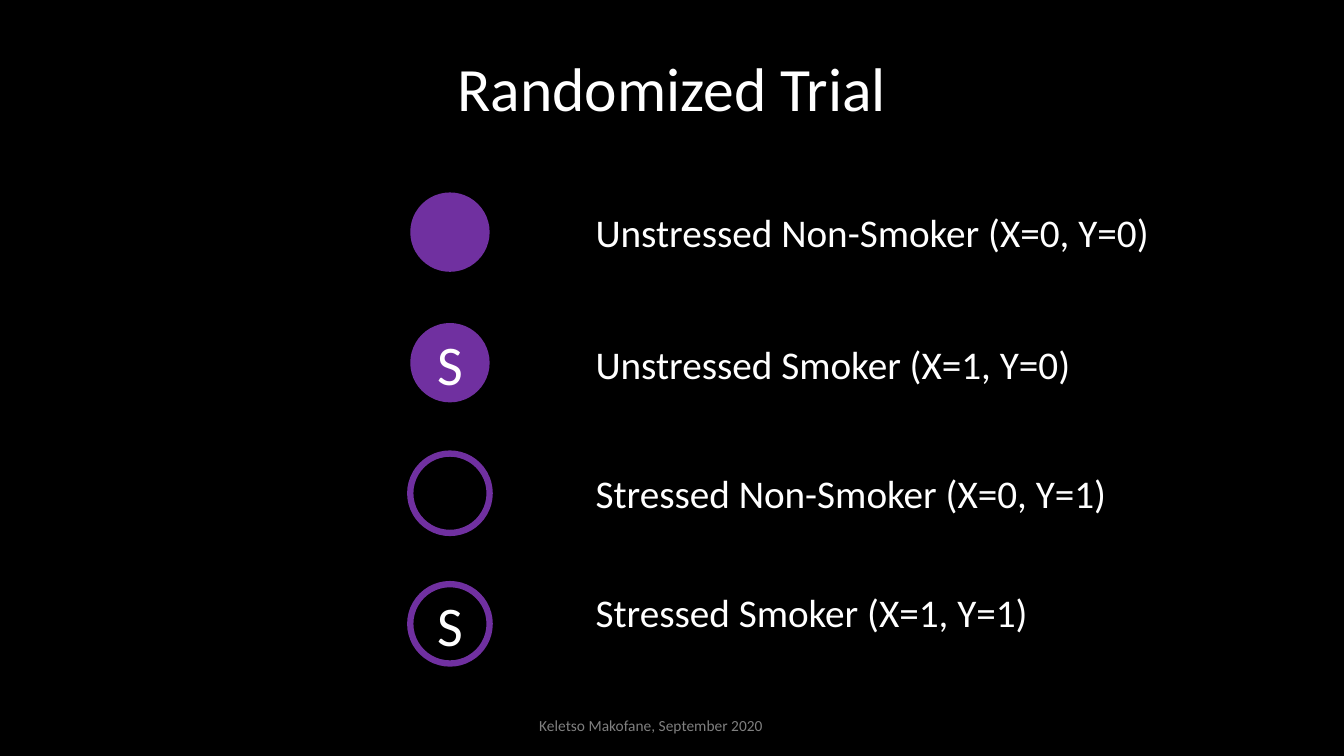
from pptx import Presentation
from pptx.dml.color import RGBColor
from pptx.enum.shapes import MSO_SHAPE
from pptx.enum.text import MSO_ANCHOR, PP_ALIGN
from pptx.util import Cm, Pt

OVAL = MSO_SHAPE.OVAL
MIDDLE, TOP = MSO_ANCHOR.MIDDLE, MSO_ANCHOR.TOP
CENTER, LEFT = PP_ALIGN.CENTER, PP_ALIGN.LEFT
BLACK, WHITE, PURPLE, GRAY = "000000", "FFFFFF", "7030A0", "808080"


def color(value):
    return RGBColor.from_string(value)


def write(shape, text, size, ink=WHITE, align=LEFT, anchor=TOP, wrap=False):
    frame = shape.text_frame
    frame.word_wrap = wrap
    frame.vertical_anchor = anchor
    para = frame.paragraphs[0]
    para.text = text
    para.alignment = align
    para.font.name = "Calibri"
    para.font.size = Pt(size)
    para.font.color.rgb = color(ink)
    return para


deck = Presentation()
deck.slide_width, deck.slide_height = Cm(33.87), Cm(19.05)
page = deck.slides.add_slide(deck.slide_layouts[6])
page.background.fill.solid()
page.background.fill.fore_color.rgb = color(BLACK)

title = page.shapes.add_textbox(Cm(2.33), Cm(0.46), Cm(29.21), Cm(3.68))
heading = write(title, "Randomized Trial", 44, align=CENTER, anchor=MIDDLE, wrap=True)
heading.line_spacing = 0.9

groups = [
    ("Unstressed Non-Smoker (X=0, Y=0)", False, False, 5.13, 14.63),
    ("Unstressed Smoker (X=1, Y=0)", False, True, 8.46, 12.62),
    ("Stressed Non-Smoker (X=0, Y=1)", True, False, 11.71, 13.54),
    ("Stressed Smoker (X=1, Y=1)", True, True, 14.71, 11.53),
]
for row, (name, stressed, smoker, label_top, label_width) in enumerate(groups):
    person = page.shapes.add_shape(OVAL, Cm(10.34), Cm(4.85 + 3.29 * row), Cm(2), Cm(2))
    person.shadow.inherit = False
    if stressed:
        person.fill.background()
        person.line.color.rgb = color(PURPLE)
        person.line.width = Pt(4.5)
    else:
        person.fill.solid()
        person.fill.fore_color.rgb = color(PURPLE)
        person.line.fill.background()
    if smoker:
        write(person, "S", 40, align=CENTER, anchor=MIDDLE, wrap=True)

    label = page.shapes.add_textbox(Cm(14.76), Cm(label_top), Cm(label_width), Cm(1.45))
    write(label, name, 28)

credit = page.shapes.add_textbox(Cm(13.34), Cm(17.91), Cm(6.22), Cm(0.74))
write(credit, "Keletso Makofane, September 2020", 11, GRAY)

deck.save("out.pptx")
